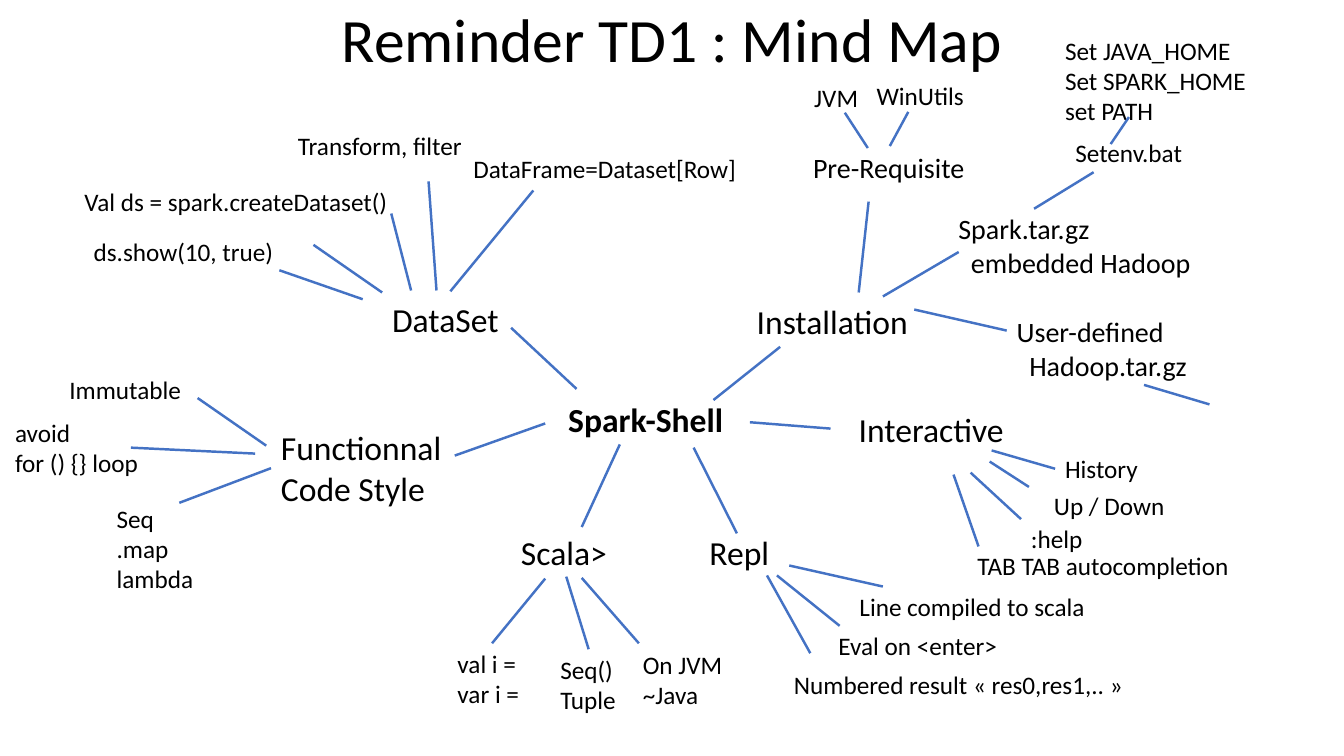
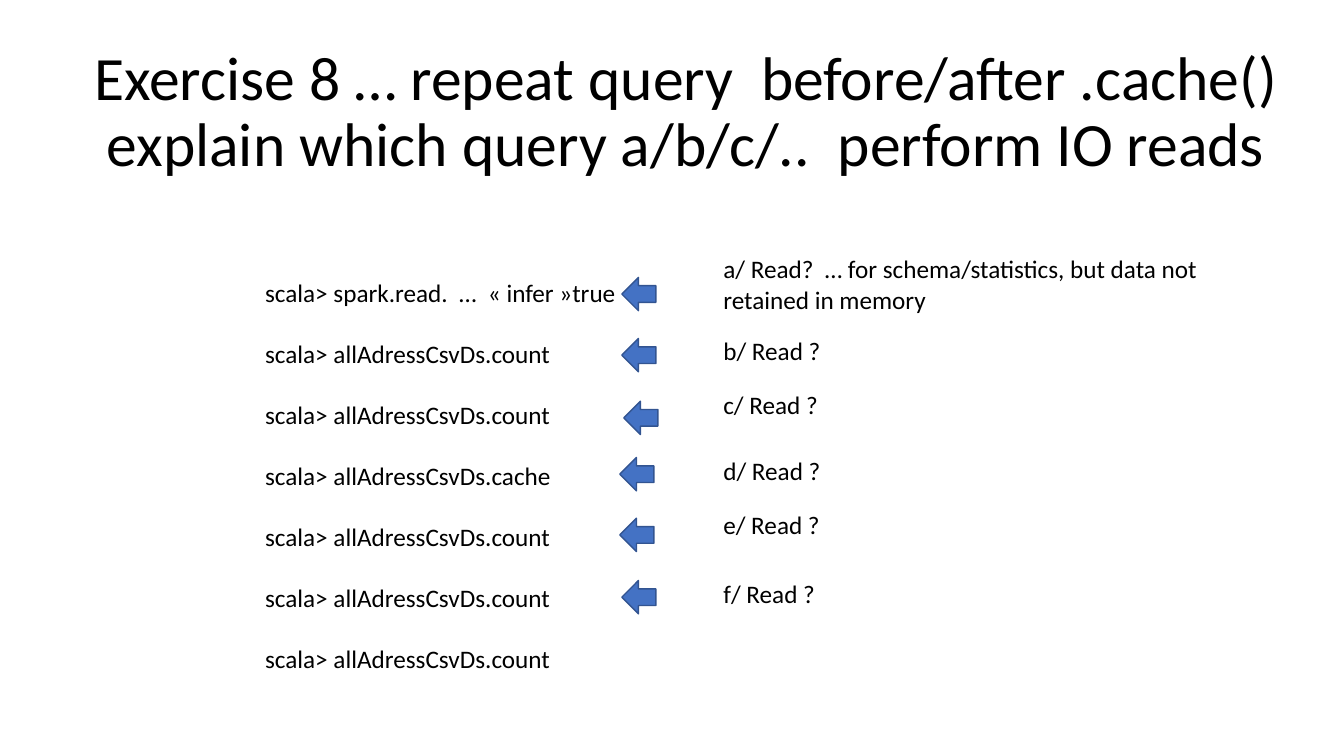
from itertools import product
from math import hypot

from lxml import etree
from pptx import Presentation
from pptx.dml.color import RGBColor
from pptx.enum import shapes, text
from pptx.oxml.ns import qn
from pptx.util import Cm, Pt

BLACK = RGBColor(0x00, 0x00, 0x00)
BLUE = RGBColor(0x44, 0x72, 0xC4)
DARK_BLUE = RGBColor(0x32, 0x54, 0x91)
FONT = "Calibri"
TITLE, TOPIC, SUBTOPIC, LEAF = 44, 24, 20, 18  # text sizes in points
JOIN_DISTANCE = 0.14  # cm within which a line end is joined to a side

prs = Presentation()
prs.slide_width, prs.slide_height = Cm(33.87), Cm(19.05)


def add_titled_slide(title, *box):
    s = prs.slides.add_slide(prs.slide_layouts[5])
    sp = s.shapes.title
    sp.left, sp.top, sp.width, sp.height = map(Cm, box)
    tf = sp.text_frame
    tf.text = title
    tf.auto_size = text.MSO_AUTO_SIZE.NONE
    tf.vertical_anchor = text.MSO_ANCHOR.MIDDLE
    for p in tf.paragraphs:
        p.alignment = text.PP_ALIGN.CENTER
        p.line_spacing = 0.9
        p.font.size, p.font.name, p.font.color.rgb = Pt(TITLE), FONT, BLACK
    return s


def add_label(s, label, x, y, w, h, size=LEAF):
    sp = s.shapes.add_textbox(Cm(x), Cm(y), Cm(w), Cm(h))
    tf = sp.text_frame
    tf.word_wrap = True
    tf.margin_right = 0
    tf.text = label
    for p in tf.paragraphs:
        p.font.size, p.font.name, p.font.color.rgb = Pt(size), FONT, BLACK
    return sp


# Slide 1: mind map
s = add_titled_slide("Reminder TD1 : Mind Map", 2.34, 0.1, 29.21, 1.96)

# Text, left, top, width in cm, by text size
labels = {
    TOPIC: [
        ("Spark-Shell", 14.07, 9.93, 4.5),
        ("Installation", 18.82, 7.47, 4.5),
        ("Repl", 17.63, 13.28, 2.03),
        ("Scala>", 12.88, 13.28, 3.56),
        ("Interactive", 21.39, 10.19, 4.22),
        ("DataSet", 9.63, 7.42, 5.05),
        ("Functionnal\nCode Style", 6.83, 10.64, 6.05),
    ],
    SUBTOPIC: [
        ("Pre-Requisite", 20.24, 3.68, 4.37),
        ("Spark.tar.gz\nembedded Hadoop", 23.9, 5.21, 6.4),
        ("User-defined\nHadoop.tar.gz", 25.37, 7.8, 4.83),
    ],
    LEAF: [
        ("JVM", 20.27, 1.96, 2.01),
        ("WinUtils", 21.84, 1.9, 3.1),
        ("Set JAVA_HOME\nSet SPARK_HOME\nset PATH", 26.59, 0.76, 5.11),
        ("Setenv.bat", 26.85, 3.33, 3.23),
        ("History", 26.59, 11.3, 2.36),
        ("Up / Down", 26.31, 12.22, 3.33),
        (":help", 25.73, 13.06, 1.83),
        ("TAB TAB autocompletion", 24.38, 13.74, 6.91),
        ("Line compiled to scala", 21.41, 14.78, 6.43),
        ("Eval on <enter>", 20.88, 15.75, 4.55),
        ("Numbered result « res0,res1,.. »", 19.76, 16.74, 8.89),
        ("val i =\nvar i =", 11.28, 16.21, 2.24),
        ("Seq()\nTuple", 13.87, 16.36, 1.93),
        ("On JVM\n~Java", 15.95, 16.23, 2.54),
        ("Immutable", 1.5, 9.3, 3.35),
        ("avoid\nfor () {} loop", 0.13, 10.39, 3.68),
        ("Seq\n.map\nlambda", 2.69, 12.55, 2.46),
        ("Transform, filter", 7.26, 3.15, 4.67),
        ("DataFrame=Dataset[Row]", 11.68, 3.73, 7.19),
        ("Val ds = spark.createDataset()", 1.88, 4.57, 8.23),
        ("ds.show(10, true)", 2.11, 5.82, 5.08),
    ],
}

# Start and end points in cm, by branch
branch_lines = {
    "Spark-Shell": [
        (17.98, 10.08, 19.66, 8.74),
        (17.48, 11.28, 18.57, 13.44),
        (15.62, 11.2, 14.53, 13.28),
        (18.9, 10.64, 20.93, 10.8),
        (14.53, 9.8, 12.88, 8.26),
        (13.74, 10.67, 11.46, 11.48),
    ],
    "Installation": [
        (21.64, 7.37, 21.89, 5.08),
        (22.25, 7.47, 24.16, 6.35),
        (23.04, 7.8, 25.37, 8.33),
        (28.83, 9.7, 30.48, 10.19),
        (26.06, 5.26, 27.56, 4.34),
        (27.99, 3.63, 28.45, 2.95),
        (21.29, 2.84, 21.87, 3.73),
        (22.89, 2.82, 22.43, 3.68),
    ],
    "Interactive": [
        (24.99, 11.35, 26.59, 11.68),
        (24.94, 11.63, 25.93, 12.27),
        (24.46, 11.91, 25.73, 13.08),
        (24.03, 11.96, 24.66, 13.77),
    ],
    "Repl": [
        (19.89, 14.25, 22.25, 14.78),
        (19.58, 14.5, 21.16, 15.77),
        (19.33, 14.5, 20.42, 16.46),
    ],
    "Scala>": [
        (13.74, 14.58, 12.45, 16.28),
        (14.27, 14.53, 14.78, 16.46),
        (14.66, 14.58, 16.1, 16.21),
    ],
    "DataSet": [
        (9.86, 5.38, 10.36, 7.32),
        (7.9, 6.17, 9.63, 7.37),
        (7.04, 6.81, 9.14, 7.54),
        (10.8, 4.57, 11, 7.32),
        (13.44, 4.8, 11.35, 7.34),
    ],
    "Functionnal": [
        (4.98, 10.03, 6.71, 11.23),
        (4.52, 12.67, 6.83, 11.79),
        (3.3, 11.28, 6.43, 11.43),
    ],
}

side_middles = []
for size, group in labels.items():
    for label, x, y, w in group:
        h = 0.25 + 0.043 * size * len(label.split("\n"))
        sp = add_label(s, label, x, y, w, h, size)
        middles = [(x + w / 2, y), (x, y + h / 2),
                   (x + w / 2, y + h), (x + w, y + h / 2)]
        side_middles += [(sp, i, *m) for i, m in enumerate(middles)]
        for p in sp.text_frame.paragraphs:
            p.font.bold = label == "Spark-Shell"
        if size == SUBTOPIC:
            for p in sp.text_frame.paragraphs[1:]:
                p._p.get_or_add_pPr().set("marL", str(Cm(0.32)))

for lines in branch_lines.values():
    for x1, y1, x2, y2 in lines:
        c = s.shapes.add_connector(shapes.MSO_CONNECTOR.STRAIGHT,
                                   Cm(x1), Cm(y1), Cm(x2), Cm(y2))
        c.line.color.rgb, c.line.width = BLUE, Pt(1.75)
        etree.SubElement(c._element.spPr, qn("a:effectLst"))
        ends = [(c.begin_connect, x1, y1), (c.end_connect, x2, y2)]
        for (join, x, y), (sp, side, mx, my) in product(ends, side_middles):
            if hypot(x - mx, y - my) < JOIN_DISTANCE:
                join(sp, side)

# Slide 2: cache exercise
s = add_titled_slide("Exercise 8 … repeat query  before/after .cache()\n"
                     "explain which query a/b/c/..  perform IO reads",
                     1.24, 1.02, 32.11, 3.68)

count = "scala> allAdressCsvDs.count"
commands = ["scala> spark.read.  …  « infer »true", count, count,
            "scala> allAdressCsvDs.cache", count, count, count]
sp = add_label(s, "\n".join(commands), 6.43, 6.86, 9.45, 11.02)
for p in sp.text_frame.paragraphs[1:]:
    p.space_before = Pt(22)

# Answer, its top, then left and top of its arrow, in cm
answers = [
    ("a/ Read?  … for schema/statistics, but data not retained in memory",
     6.27, 15.67, 6.99),
    ("b/ Read ?", 8.33, 15.67, 8.53),
    ("c/ Read ?", 9.68, 15.72, 10.11),
    ("d/ Read ?", 11.35, 15.62, 11.53),
    ("e/ Read ?", 12.7, 15.62, 13.06),
    ("f/ Read ?", 14.45, 15.67, 14.63),
]
for answer, y, arrow_x, arrow_y in answers:
    add_label(s, answer, 17.98, y, 12.65, 1.02)
    sp = s.shapes.add_shape(shapes.MSO_SHAPE.LEFT_ARROW,
                            Cm(arrow_x), Cm(arrow_y), Cm(0.86), Cm(0.84))
    sp.shadow.inherit = False
    sp.fill.solid()
    sp.fill.fore_color.rgb = BLUE
    sp.line.color.rgb, sp.line.width = DARK_BLUE, Pt(1)

prs.save("out.pptx")
